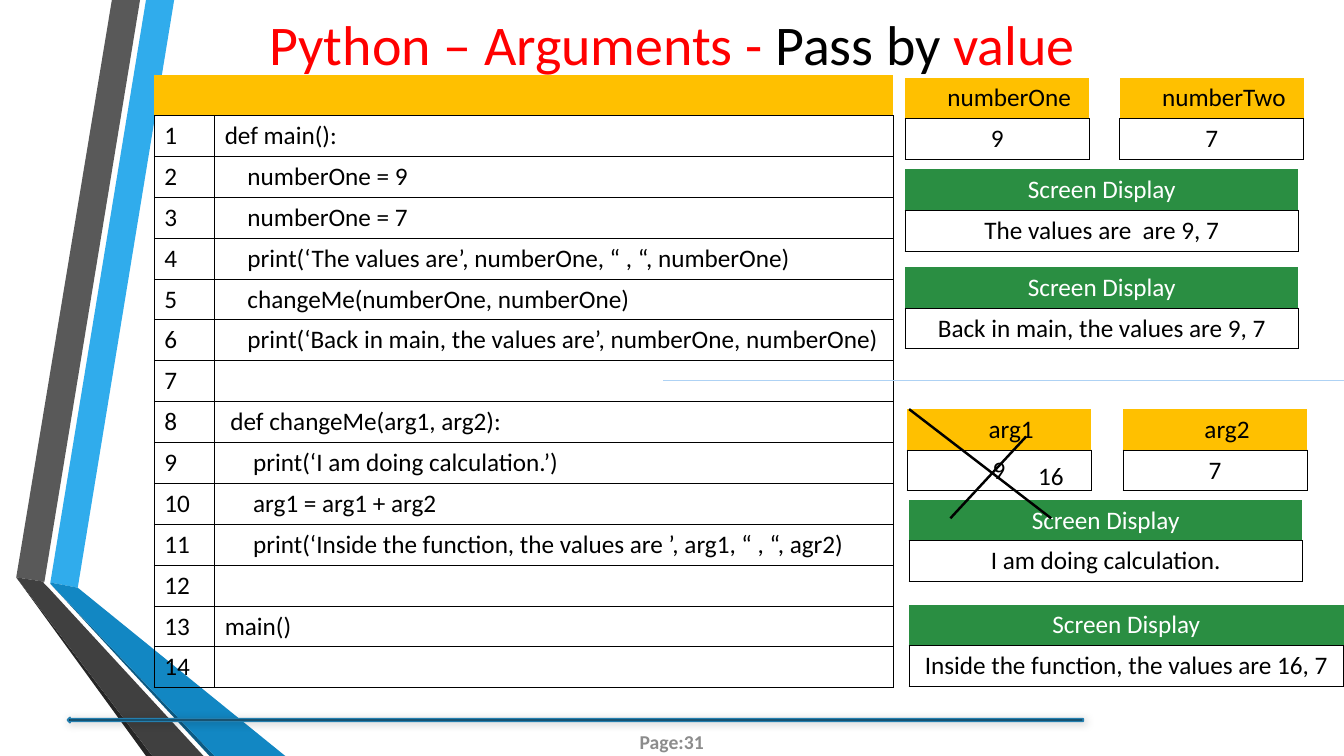
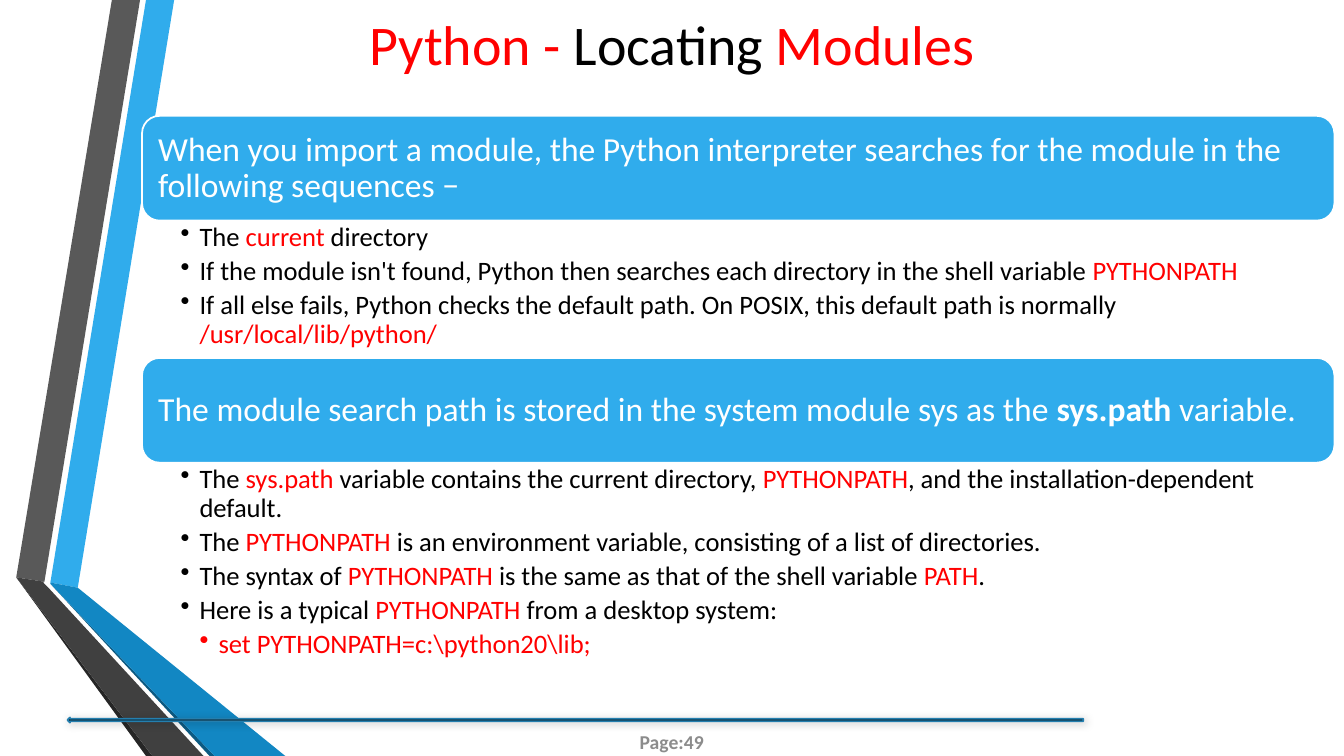
from lxml import etree
from pptx import Presentation
from pptx import util as u
from pptx.dml.color import RGBColor
from pptx.enum import shapes, text
from pptx.oxml import ns

COLORS = {
    "black": "000000", "white": "FFFFFF", "red": "FF0000", "gray": "8C8C8C",
    "sky": "30ACEC", "ocean": "1287C3", "navy": "0C5A82", "steel": "247FAF",
    "slate": "595959", "charcoal": "404040", "ink": "262626",
    "amber": "FFC000", "green": "2A8E42", "pale": "AED2F4",
}
WIDTH, HEIGHT = 33.87, 19.05
ROW = 1.03
NO_STYLE = "{2D5ABB26-0587-4C30-8999-92F81FD0307C}"
CENTER = text.PP_ALIGN.CENTER
LEFT = text.PP_ALIGN.LEFT
MIDDLE = text.MSO_ANCHOR.MIDDLE

FONTS = {
    "title": {"name": "Calibri", "size": u.Pt(40), "bold": False, "color": "black"},
    "page": {"name": "Calibri", "size": u.Pt(14), "bold": True, "color": "gray"},
    "cell": {"name": "Calibri", "size": u.Pt(18), "color": "black"},
    "banner": {"name": "Calibri", "size": u.Pt(18), "color": "white"},
    "heading": {"name": "Calibri", "size": u.Pt(24), "color": "white"},
    "bullet": {"name": "Calibri", "size": u.Pt(19), "color": "black"},
}
RED = {"color": "red"}
BOLD = {"bold": True}

RIBBONS = [
    ("sky", [(1.27, 14.68), (1.96, 14.81), (4.39, 0), (3.68, 0)]),
    ("slate", [(3.53, 0), (2.82, 0), (0.41, 14.55), (1.12, 14.66)]),
    ("ink", [(0.41, 14.55), (3.68, HEIGHT), (3.84, HEIGHT)]),
    ("navy", [(1.27, 14.71), (5.28, HEIGHT), (5.41, HEIGHT)]),
    ("ocean", [(1.27, 14.71), (5.41, HEIGHT), (7.19, HEIGHT), (1.96, 14.81), (1.27, 14.68)]),
    ("charcoal", [(5.13, HEIGHT), (1.22, 14.81), (1.09, 14.68), (1.12, 14.66),
                  (0.41, 14.55), (3.84, HEIGHT)]),
]

CODE = [
    "def main():",
    "    numberOne = 9",
    "    numberOne = 7",
    "    print(‘The values are’, numberOne, “ , “, numberOne)",
    "    changeMe(numberOne, numberOne)",
    "    print(‘Back in main, the values are’, numberOne, numberOne)",
    "",
    " def changeMe(arg1, arg2):",
    "     print(‘I am doing calculation.’)",
    "     arg1 = arg1 + arg2",
    "     print(‘Inside the function, the values are ’, arg1, “ , “, agr2)",
    "",
    "main()",
    "",
]
VARIABLES = [
    (22.81, 1.96, "numberOne", "9"),
    (28.22, 1.96, "numberTwo", "7"),
    (22.86, 10.31, "arg1", "9"),
    (28.3, 10.31, "arg2", "7"),
]
DISPLAYS = [
    (22.81, 4.27, 9.91, "The values are  are 9, 7"),
    (22.81, 6.73, 9.91, "Back in main, the values are 9, 7"),
    (22.91, 12.6, 9.91, "I am doing calculation."),
    (22.91, 15.24, 10.95, "Inside the function, the values are 16, 7"),
]
SECTIONS = [
    (2.92, 3.46,
     "When you import a module, the Python interpreter searches for the module in the "
     "following sequences −",
     [(1, "The *current* directory"),
      (1, "If the module isn't found, Python then searches each directory in the shell "
          "variable *PYTHONPATH*"),
      (1, "If all else fails, Python checks the default path. On POSIX, this default path "
          "is normally */usr/local/lib/python/*")]),
    (9.02, 5.24,
     "The module search path is stored in the system module sys as the *sys.path* variable.",
     [(1, "The *sys.path* variable contains the current directory, *PYTHONPATH*, and the "
          "installation-dependent default."),
      (1, "The *PYTHONPATH* is an environment variable, consisting of a list of directories."),
      (1, "The syntax of *PYTHONPATH* is the same as that of the shell variable *PATH*."),
      (1, "Here is a typical *PYTHONPATH* from a desktop system:"),
      (2, "*set PYTHONPATH=c:\\python20\\lib;*")]),
]


def rgb(name):
    return RGBColor.from_string(COLORS[name])


def cm(*lengths):
    return [u.Cm(length) for length in lengths]


def assign(target, values):
    for name, value in values.items():
        setattr(target, name, value)


def style_font(font, values):
    assign(font, {name: value for name, value in values.items() if name != "color"})
    font.color.rgb = rgb(values["color"])


def write(paragraph, markup, font, accent=RED, **layout):
    assign(paragraph, layout)
    for index, part in enumerate(markup.split("*")):
        if part:
            run = paragraph.add_run()
            run.text = part
            style_font(run.font, {**FONTS[font], **(accent if index % 2 else {})})


def set_frame(frame, margins, **values):
    sides = ("margin_left", "margin_top", "margin_right", "margin_bottom")
    assign(frame, {**dict(zip(sides, cm(*margins))), "word_wrap": True, **values})


def paint(shape, fill, line=None, width=1.25):
    shape.shadow.inherit = False
    shape.fill.solid()
    shape.fill.fore_color.rgb = rgb(fill)
    if line:
        shape.line.color.rgb = rgb(line)
        shape.line.width = u.Pt(width)
    else:
        shape.line.fill.background()


def add_line(slide, start, end, color, width):
    line = slide.shapes.add_connector(shapes.MSO_CONNECTOR.STRAIGHT, *cm(*start, *end))
    line.line.color.rgb = rgb(color)
    line.line.width = u.Pt(width)
    etree.SubElement(line._element.spPr, ns.qn("a:effectLst"))


def add_ribbons(slide):
    for color, points in RIBBONS:
        corners = [cm(*point) for point in points]
        builder = slide.shapes.build_freeform(*corners[0])
        builder.add_line_segments(corners[1:], close=True)
        paint(builder.convert_to_shape(), color)


def add_footer(slide, page):
    box = slide.shapes.add_textbox(*cm(14.68, 18.19, 4.5, 1.02))
    set_frame(box.text_frame, (0.1, 0.05, 0.1, 0.05), vertical_anchor=MIDDLE)
    write(box.text_frame.paragraphs[0], f"Page:{page}", "page", alignment=CENTER)
    arrow = slide.shapes.add_shape(shapes.MSO_SHAPE.LEFT_ARROW, *cm(1.7, 18.08, 25.6, 0.13))
    paint(arrow, "black", "steel")
    effects = arrow._element.spPr.find(ns.qn("a:effectLst"))
    shadow = etree.SubElement(effects, ns.qn("a:outerShdw"), blurRad=str(u.Pt(6)),
                              dist=str(u.Pt(1)), dir="2700000")
    color = etree.SubElement(shadow, ns.qn("a:srgbClr"), val=COLORS["black"])
    etree.SubElement(color, ns.qn("a:alpha"), val="20000")


def add_base_slide(presentation, title, page):
    slide = presentation.slides.add_slide(presentation.slide_layouts[5])
    add_ribbons(slide)
    add_footer(slide, page)
    heading = slide.shapes.title
    assign(heading, dict(zip(("left", "top", "width", "height"), cm(0, 0, WIDTH, 2.18))))
    set_frame(heading.text_frame, (0.25, 0.13, 0.25, 0.13), vertical_anchor=MIDDLE)
    write(heading.text_frame.paragraphs[0], title, "title", alignment=CENTER)
    return slide


def add_grid(slide, left, top, widths, row_count):
    frame = slide.shapes.add_table(row_count, len(widths),
                                   *cm(left, top, sum(widths), row_count * ROW))
    table = frame.table
    assign(table, {"first_row": False, "horz_banding": False})
    table._tbl.tblPr.find(ns.qn("a:tableStyleId")).text = NO_STYLE
    for column, width in zip(table.columns, widths):
        column.width = u.Cm(width)
    for row in table.rows:
        row.height = u.Cm(ROW)
    return table


def add_border(cell):
    properties = cell._tc.get_or_add_tcPr()
    for side in "RTB" if cell.is_spanned else "LRTB":
        line = etree.SubElement(properties, ns.qn(f"a:ln{side}"), w=str(u.Pt(0.75)))
        fill = etree.SubElement(line, ns.qn("a:solidFill"))
        etree.SubElement(fill, ns.qn("a:srgbClr"), val=COLORS["black"])


def dress_table(table, header_color):
    for index, row in enumerate(table.rows):
        for cell in row.cells:
            cell.vertical_anchor = MIDDLE
            if index:
                add_border(cell)
                cell.fill.background()
            else:
                cell.fill.solid()
                cell.fill.fore_color.rgb = rgb(header_color)


def write_cell(table, row, column, content, font="cell", alignment=CENTER):
    write(table.cell(row, column).text_frame.paragraphs[0], content, font, alignment=alignment)


def add_code_table(slide, left, top):
    table = add_grid(slide, left, top, (1.52, 17.1), len(CODE) + 1)
    dress_table(table, "amber")
    for number, line in enumerate(CODE, 1):
        write_cell(table, number, 0, str(number), alignment=LEFT)
        write_cell(table, number, 1, line, alignment=LEFT)


def add_variable(slide, left, top, name, value):
    table = add_grid(slide, left, top, (0.58, 4.03), 2)
    table.cell(1, 0).merge(table.cell(1, 1))
    dress_table(table, "amber")
    write_cell(table, 0, 1, name)
    write_cell(table, 1, 0, value)


def add_display(slide, left, top, width, output):
    table = add_grid(slide, left, top, (width,), 2)
    dress_table(table, "green")
    write_cell(table, 0, 0, "Screen Display", "banner")
    write_cell(table, 1, 0, output)


def add_replaced_value(slide, left, top, value):
    for x1, y1, x2, y2 in ((0.05, 0, 3.63, 2.75), (1.09, 2.75, 3, 0.69)):
        add_line(slide, (left + x1, top + y1), (left + x2, top + y2), "black", 1.75)
    box = slide.shapes.add_textbox(*cm(left + 3.05, top + 1.15, 1.17, 1.02))
    set_frame(box.text_frame, (0.25, 0.13, 0.25, 0.13), word_wrap=False)
    write(box.text_frame.paragraphs[0], value, "cell")


def add_section(slide, left, top, width, body_height, heading, bullets):
    heading_height = 2.64
    bar = slide.shapes.add_shape(shapes.MSO_SHAPE.ROUNDED_RECTANGLE,
                                 *cm(left, top, width, heading_height))
    paint(bar, "sky", "white")
    set_frame(bar.text_frame, (0.28, 0.25, 0.28, 0.25), vertical_anchor=MIDDLE)
    write(bar.text_frame.paragraphs[0], heading, "heading", BOLD,
          alignment=LEFT, line_spacing=0.9)
    body = slide.shapes.add_textbox(*cm(left, top + heading_height, width, body_height))
    frame = body.text_frame
    set_frame(frame, (0.97, 0.08, 0.48, 0.08))
    for index, (level, markup) in enumerate(bullets):
        paragraph = frame.add_paragraph() if index else frame.paragraphs[0]
        properties = paragraph._p.get_or_add_pPr()
        properties.set("marL", str(u.Cm(0.48 * level)))
        properties.set("indent", str(u.Cm(-0.48)))
        etree.SubElement(properties, ns.qn("a:buChar"), char="•")
        write(paragraph, markup, "bullet", level=level, line_spacing=0.9, space_after=u.Pt(3.8))


def add_arguments_slide(presentation):
    slide = add_base_slide(presentation, "*Python – Arguments - *Pass by *value*", 31)
    add_code_table(slide, 3.89, 1.88)
    add_line(slide, (16.71, 9.6), (WIDTH, 9.6), "pale", 0.75)
    for variable in VARIABLES:
        add_variable(slide, *variable)
    for display in DISPLAYS:
        add_display(slide, *display)
    add_replaced_value(slide, *VARIABLES[2][:2], "16")


def add_modules_slide(presentation):
    slide = add_base_slide(presentation, "*Python - *Locating *Modules*", 49)
    for top, body_height, heading, bullets in SECTIONS:
        add_section(slide, 3.58, top, 30.05, body_height, heading, bullets)


def main():
    presentation = Presentation()
    assign(presentation, {"slide_width": u.Cm(WIDTH), "slide_height": u.Cm(HEIGHT)})
    add_arguments_slide(presentation)
    add_modules_slide(presentation)
    presentation.save("out.pptx")


if __name__ == "__main__":
    main()
